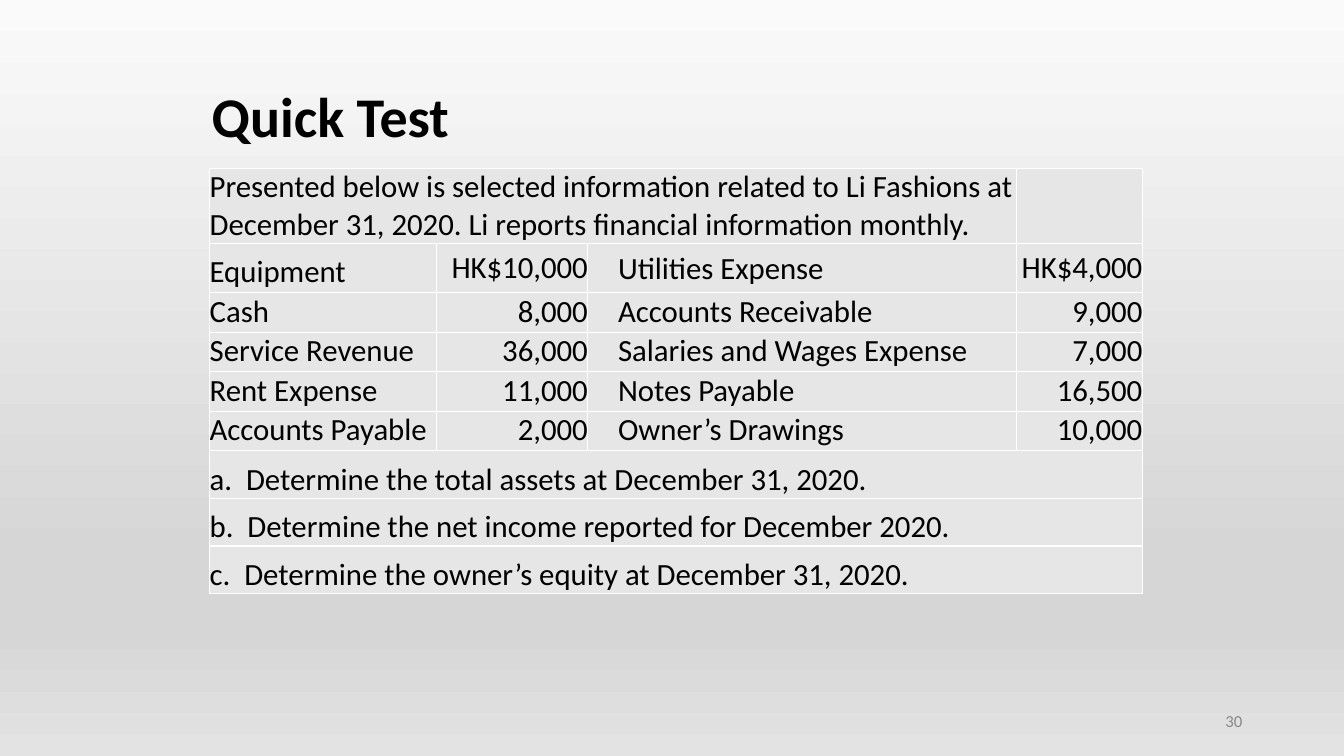
from dataclasses import dataclass

import pptx
import pptx.dml.color
import pptx.enum.text
import pptx.oxml
import pptx.oxml.ns
import pptx.util

Inches = pptx.util.Inches
Pt = pptx.util.Pt
ALIGN = pptx.enum.text.PP_ALIGN
MIDDLE = pptx.enum.text.MSO_ANCHOR.MIDDLE
NS = pptx.oxml.ns.nsdecls("a")

BACKGROUND = [(0, "FAFAFA"), (74, "D6D6D6"), (83, "D6D6D6"), (100, "E3E3E3")]
COLUMNS = [2.25, 1.5, 4.25, 1.25]
INTRO = ("Presented below is selected information related to Li Fashions at "
         "December 31, 2020. Li reports financial information monthly.")
ACCOUNTS = [
    ("Equipment", "HK$10,000", "Utilities Expense", "HK$4,000"),
    ("Cash", "8,000", "Accounts Receivable", "9,000"),
    ("Service Revenue", "36,000", "Salaries and Wages Expense", "7,000"),
    ("Rent Expense", "11,000", "Notes Payable", "16,500"),
    ("Accounts Payable", "2,000", "Owner’s Drawings", "10,000"),
]
QUESTIONS = [
    ("a.  Determine the total assets at December 31, 2020.", 0.44),
    ("b.  Determine the net income reported for December 2020.", 0.38),
    ("c.  Determine the owner’s equity at December 31, 2020.", 0.38),
]


@dataclass
class Entry:
    text: str
    left: float = 0
    top: float = 0
    bottom: float = 0
    align: ALIGN = ALIGN.LEFT
    hanging: float = 0


@dataclass
class Row:
    height: float
    entries: list[Entry]
    span: int = 1


def rgb(value: str) -> pptx.dml.color.RGBColor:
    return pptx.dml.color.RGBColor.from_string(value)


def write(tf, text: str, size: float, color: str, align=ALIGN.LEFT, bold: bool = False):
    p = tf.paragraphs[0]
    p.alignment = align
    r = p.add_run()
    r.text = text
    for name, value in {"name": "Calibri", "size": Pt(size), "bold": bold}.items():
        setattr(r.font, name, value)
    r.font.color.rgb = rgb(color)
    return p


def style_cell(cell) -> None:
    tc_pr = cell._tc.get_or_add_tcPr()
    for side in ("lnL", "lnR", "lnT", "lnB"):
        tc_pr.append(pptx.oxml.parse_xml(
            f'<a:{side} {NS} w="{Pt(1)}"><a:solidFill><a:srgbClr val="FFFFFF"/>'
            f'</a:solidFill></a:{side}>'))
    cell.fill.solid()
    cell.fill.fore_color.rgb = rgb("E7E6E6")


def fill_cell(cell, entry: Entry) -> None:
    margins = {"left": entry.left, "top": entry.top, "right": 0, "bottom": entry.bottom}
    for side, value in margins.items():
        setattr(cell, f"margin_{side}", Inches(value))
    cell.vertical_anchor = MIDDLE
    p = write(cell.text_frame, entry.text, 22, "000000", entry.align)
    if entry.hanging:
        p_pr = p._p.get_or_add_pPr()
        p_pr.set("marL", str(Inches(entry.hanging)))
        p_pr.set("indent", str(-Inches(entry.hanging)))


def account_row(index: int, values: tuple[str, ...]) -> Row:
    first = index == 0
    tops = (0.1, 0.02, 0.02, 0.02) if first else (0, 0, 0, 0)
    entries = [
        Entry(text, left=0.3 if col == 2 else 0, top=tops[col],
              bottom=0 if first and col == 2 else 0.02,
              align=ALIGN.RIGHT if col % 2 else ALIGN.LEFT)
        for col, text in enumerate(values)
    ]
    return Row(0.49 if first else 0.39, entries)


def add_background(s) -> None:
    fill = s.background.fill
    fill.gradient()
    fill.gradient_angle = 270
    stops = s.background._cSld.find(".//" + pptx.oxml.ns.qn("a:gsLst"))
    for stop in list(stops):
        stops.remove(stop)
    for position, color in BACKGROUND:
        stops.append(pptx.oxml.parse_xml(
            f'<a:gs {NS} pos="{position * 1000}"><a:srgbClr val="{color}"/></a:gs>'))


def add_title(s) -> None:
    sp = s.shapes.title
    box = {"left": 2, "top": 0.83, "width": 9.67, "height": 0.71}
    for name, value in box.items():
        setattr(sp, name, Inches(value))
    tf = sp.text_frame
    tf.vertical_anchor = MIDDLE
    tf.auto_size = pptx.enum.text.MSO_AUTO_SIZE.NONE
    write(tf, "Quick Test", 40, "000000", bold=True).line_spacing = 0.9


def add_accounts(s) -> None:
    rows = [Row(0.74, [Entry(INTRO)], 3)]
    rows += [account_row(i, values) for i, values in enumerate(ACCOUNTS)]
    rows += [Row(0.47, [Entry(text, top=0.1, hanging=hanging)], 4)
             for text, hanging in QUESTIONS]
    table = s.shapes.add_table(
        len(rows), len(COLUMNS), Inches(2.08), Inches(1.67),
        Inches(sum(COLUMNS)), Inches(sum(row.height for row in rows))).table
    table.first_row = table.horz_banding = False
    for column, width in zip(table.columns, COLUMNS):
        column.width = Inches(width)
    for i, row in enumerate(rows):
        table.rows[i].height = Inches(row.height)
        for cell in table.rows[i].cells:
            style_cell(cell)
        if row.span > 1:
            table.cell(i, 0).merge(table.cell(i, row.span - 1))
        for col, entry in enumerate(row.entries):
            fill_cell(table.cell(i, col), entry)


def add_page_number(s) -> None:
    sp = s.shapes.add_textbox(Inches(9.42), Inches(6.95), Inches(3), Inches(0.4))
    tf = sp.text_frame
    tf.word_wrap = True
    tf.vertical_anchor = MIDDLE
    write(tf, "30", 12, "888888", ALIGN.RIGHT)


def main() -> None:
    prs = pptx.Presentation()
    prs.slide_width, prs.slide_height = Inches(13.33), Inches(7.5)
    s = prs.slides.add_slide(prs.slide_layouts[5])
    add_background(s)
    add_title(s)
    add_accounts(s)
    add_page_number(s)
    prs.save("out.pptx")


if __name__ == "__main__":
    main()
